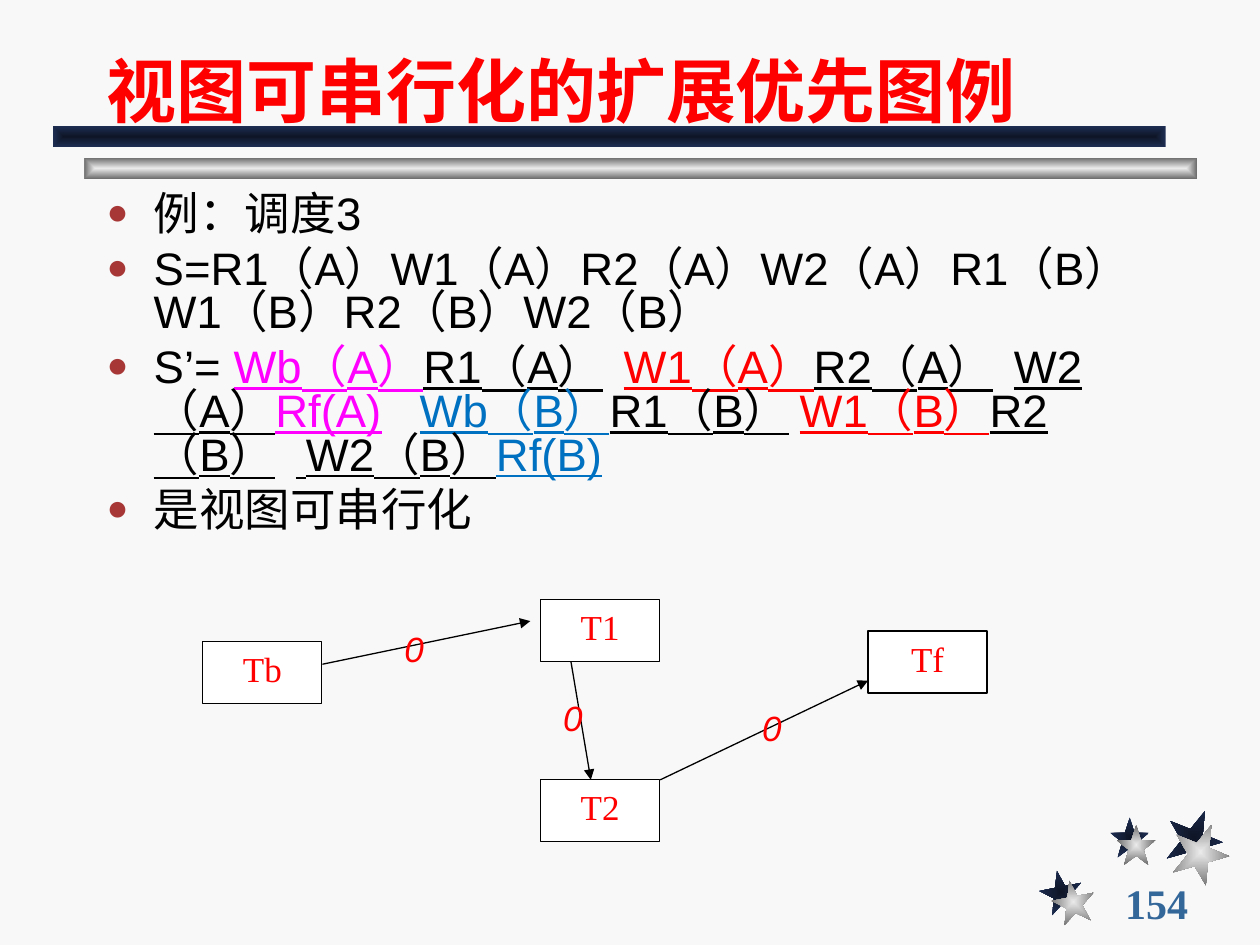
from lxml import etree
from pptx import Presentation
from pptx.dml.color import RGBColor
from pptx.enum.shapes import MSO_CONNECTOR, MSO_SHAPE
from pptx.enum.text import MSO_ANCHOR, MSO_AUTO_SIZE, PP_ALIGN
from pptx.oxml import parse_xml
from pptx.oxml.ns import nsdecls, qn
from pptx.util import Cm, Pt

BLACK, RED, MAGENTA, BLUE = "000000", "FF0000", "FF00FF", "0070C0"
NAVY = ("0E1526", "1E2E53")
SILVER = ("EAEAEA", "6C6C6C")

# Each run: text, colour, underlined
BODY = [
    [("例：调度3", BLACK, False)],
    [("S=R1（A）W1（A）R2（A）W2（A）R1（B）W1（B）R2（B）W2（B）", BLACK, False)],
    [
        ("S’= ", BLACK, False),
        ("Wb（A）", MAGENTA, True),
        ("R1（A）", BLACK, True),
        ("  ", BLACK, False),
        ("W1（A）", RED, True),
        ("R2（A）", BLACK, True),
        ("  ", BLACK, False),
        ("W2（A）", BLACK, True),
        ("Rf(A)", MAGENTA, True),
        ("   ", BLACK, False),
        ("Wb（B）", BLUE, True),
        ("R1（B）", BLACK, True),
        (" ", BLACK, False),
        ("W1（B）", RED, True),
        ("R2（B）", BLACK, True),
        ("  ", BLACK, False),
        (" W2（B）", BLACK, True),
        ("Rf(B)", BLUE, True),
    ],
    [("是视图可串行化", BLACK, False)],
]

# Left, top, width, height, rotation, then the offset of the silver star
STARS = [
    (20.96, 17.55, 0.86, 0.86, 349, 0.25, 0.2),
    (22.38, 16.48, 0.79, 0.81, 0, 0.13, 0.15),
    (23.5, 16.31, 1.14, 1.17, 22, 0.13, 0.28),
]
NODES = [("Tb", 4.09, 12.93), ("Tf", 17.5, 12.72), ("T2", 10.9, 15.72), ("T1", 10.9, 12.09)]
EDGES = [
    (6.5, 13.39, 10.69, 12.52),
    (11.51, 13.34, 11.91, 15.72),
    (13.31, 15.72, 17.5, 13.72),
]
EDGE_LABELS = [(7.9, 12.52), (11.1, 13.92), (15.11, 14.12)]


def color(hex_string):
    return RGBColor.from_string(hex_string)


def add_run(paragraph, text, size, font_name, hex_color, bold=False, italic=False, underline=False):
    run = paragraph.add_run()
    run.text = text
    font = run.font
    font.size, font.name = Pt(size), font_name
    font.bold, font.italic, font.underline = bold, italic, underline
    font.color.rgb = color(hex_color)


def add_text_frame(slide, left, top, width, height, wrap=True, anchor=MSO_ANCHOR.TOP):
    frame = slide.shapes.add_textbox(Cm(left), Cm(top), Cm(width), Cm(height)).text_frame
    frame.word_wrap = wrap
    frame.vertical_anchor = anchor
    return frame


def add_ornament(slide, preset, left, top, width, height, shades, rotation=0):
    """Add a borderless shape shaded from its centre to its edges."""
    ornament = slide.shapes.add_shape(preset, Cm(left), Cm(top), Cm(width), Cm(height))
    ornament.shadow.inherit = False
    ornament.rotation = rotation
    ornament.line.fill.background()
    ornament.fill.gradient()
    for stop, shade, position in zip(ornament.fill.gradient_stops, shades, (0, 1)):
        stop.color.rgb = color(shade)
        stop.position = position
    linear = next(ornament.element.spPr.iter(qn("a:lin")))
    linear.getparent().replace(linear, parse_xml(
        f'<a:path {nsdecls("a")} path="rect">'
        '<a:fillToRect l="50000" t="50000" r="50000" b="50000"/></a:path>'))


def add_bullet(paragraph):
    properties = paragraph._p.get_or_add_pPr()
    properties.set("marL", str(Cm(0.95)))
    properties.set("indent", str(Cm(-0.95)))
    bullet_color = etree.SubElement(properties, qn("a:buClr"))
    etree.SubElement(bullet_color, qn("a:srgbClr"), val="A73737")
    etree.SubElement(properties, qn("a:buSzPct"), val="80000")
    etree.SubElement(properties, qn("a:buFont"), typeface="Arial")
    etree.SubElement(properties, qn("a:buChar"), char="●")


def add_body(slide):
    frame = add_text_frame(slide, 1.9, 3.81, 21.6, 7.11)
    for index, runs in enumerate(BODY):
        paragraph = frame.add_paragraph() if index else frame.paragraphs[0]
        add_bullet(paragraph)
        paragraph.line_spacing = 0.8
        paragraph.space_before = Pt(6.5 if index else 0)
        for text, hex_color, underline in runs:
            add_run(paragraph, text, 26, "Arial", hex_color, underline=underline)


def add_node(slide, name, left, top):
    node = slide.shapes.add_shape(MSO_SHAPE.RECTANGLE, Cm(left), Cm(top), Cm(2.4), Cm(1.25))
    node.shadow.inherit = False
    node.fill.solid()
    node.fill.fore_color.rgb = color("FFFFFF")
    node.line.color.rgb = color(BLACK)
    node.line.width = Pt(0.75)
    node.text_frame.vertical_anchor = MSO_ANCHOR.TOP
    paragraph = node.text_frame.paragraphs[0]
    paragraph.alignment = PP_ALIGN.CENTER
    add_run(paragraph, name, 20, "Times New Roman", RED)


def add_edge(slide, *ends):
    edge = slide.shapes.add_connector(MSO_CONNECTOR.STRAIGHT, *map(Cm, ends))
    edge.line.color.rgb = color(BLACK)
    edge.line.width = Pt(0.75)
    etree.SubElement(edge.line._get_or_add_ln(), qn("a:tailEnd"), type="triangle")
    etree.SubElement(edge._element.spPr, qn("a:effectLst"))


def add_edge_label(slide, left, top):
    frame = add_text_frame(slide, left, top, 0.9, 1.11, wrap=False)
    frame.auto_size = MSO_AUTO_SIZE.SHAPE_TO_FIT_TEXT
    paragraph = frame.paragraphs[0]
    paragraph.alignment = PP_ALIGN.CENTER
    add_run(paragraph, "0", 20, "Arial", RED, italic=True)


def add_decoration(slide):
    for left, top, width, height, rotation, _, _ in STARS:
        add_ornament(slide, MSO_SHAPE.STAR_5_POINT, left, top, width, height, NAVY, rotation)
    for left, top, width, height, rotation, dx, dy in STARS:
        add_ornament(slide, MSO_SHAPE.STAR_5_POINT, left + dx, top + dy, width, height,
                     SILVER, rotation)
    for left, top, shades in [(1.7, 3.18, SILVER), (1.07, 2.54, NAVY)]:
        add_ornament(slide, MSO_SHAPE.RECTANGLE, left, top, 22.43, 0.43, shades)


def main():
    presentation = Presentation()
    presentation.slide_width, presentation.slide_height = Cm(25.4), Cm(19.05)
    slide = presentation.slides.add_slide(presentation.slide_layouts[6])
    slide.background.fill.solid()
    slide.background.fill.fore_color.rgb = color("F8F8F8")

    add_decoration(slide)
    page_number = add_text_frame(slide, 22.43, 17.78, 2.74, 0.84, False, MSO_ANCHOR.MIDDLE)
    add_run(page_number.paragraphs[0], "154", 24, "Times New Roman", "336699", bold=True)
    title = add_text_frame(slide, 1.9, 0.43, 21.6, 2.34, anchor=MSO_ANCHOR.BOTTOM)
    add_run(title.paragraphs[0], "视图可串行化的扩展优先图例", 40, "Arial", RED, bold=True)
    add_body(slide)

    for node in NODES:
        add_node(slide, *node)
    for edge in EDGES:
        add_edge(slide, *edge)
    for position in EDGE_LABELS:
        add_edge_label(slide, *position)
    presentation.save("out.pptx")


if __name__ == "__main__":
    main()
